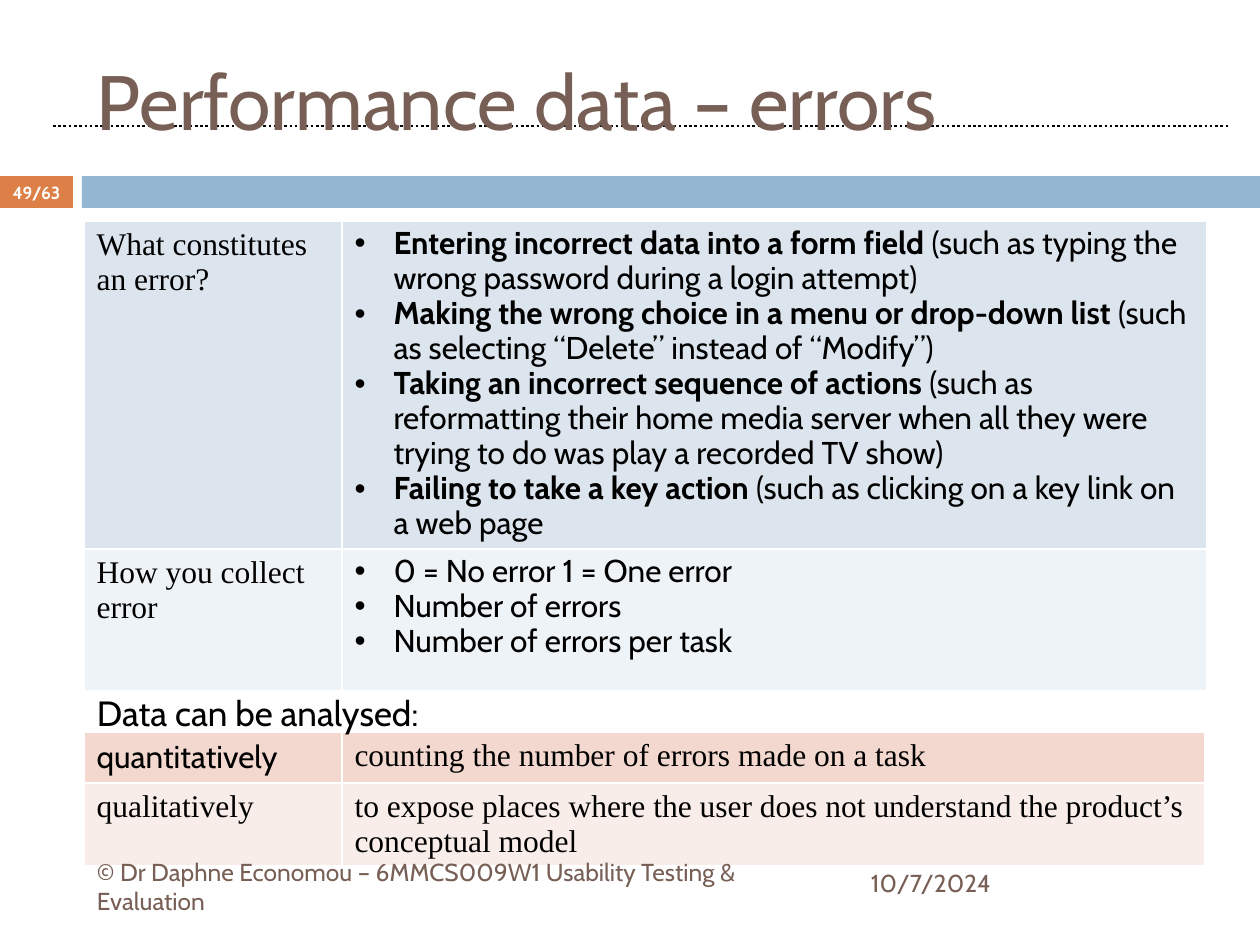
from lxml.etree import SubElement
from pptx import Presentation
from pptx.dml.color import RGBColor
from pptx.enum.dml import MSO_LINE
from pptx.enum.shapes import MSO_CONNECTOR, MSO_SHAPE
from pptx.enum.text import MSO_ANCHOR as ANCHOR, PP_ALIGN as ALIGN
from pptx.oxml.ns import qn
from pptx.util import Emu, Pt

PX = 914400 / 126
BLACK = RGBColor(0x00, 0x00, 0x00)
WHITE = RGBColor(0xFF, 0xFF, 0xFF)
BROWN = RGBColor(0x77, 0x5F, 0x55)
ORANGE = RGBColor(0xDD, 0x80, 0x47)
BLUE = RGBColor(0x94, 0xB6, 0xD2)
BLUE_TINT = RGBColor(0xDC, 0xE5, 0xEE)
BLUE_PALE = RGBColor(0xEE, 0xF3, 0xF7)
ROSE_TINT = RGBColor(0xF2, 0xD8, 0xCF)
ROSE_PALE = RGBColor(0xF9, 0xED, 0xE9)
CABIN = "Cabin"
TIMES = "Times New Roman"


def px(*lengths):
    return [Emu(round(length * PX)) for length in lengths]


def add_run(paragraph, text, size, face, color, bold=False):
    run = paragraph.add_run()
    run.text = text
    run.font.size = Pt(size)
    run.font.name = face
    run.font.bold = bold
    run.font.color.rgb = color


deck = Presentation()
deck.slide_width, deck.slide_height = px(1260, 945)
slide = deck.slides.add_slide(deck.slide_layouts[5])
shapes = slide.shapes

for left, width, color in [(0, 73, ORANGE), (82, 1178, BLUE)]:
    band = shapes.add_shape(MSO_SHAPE.RECTANGLE, *px(left, 176, width, 32))
    band.shadow.inherit = False
    band.fill.solid()
    band.fill.fore_color.rgb = color
    band.line.fill.background()

rule = shapes.add_connector(MSO_CONNECTOR.STRAIGHT, *px(53, 126, 1228, 126))
rule.line.color.rgb = BLACK
rule.line.width = Pt(1.5)
rule.line.dash_style = MSO_LINE.ROUND_DOT
SubElement(rule._element.spPr, qn("a:effectLst"))

title = shapes.title
title.left, title.top, title.width, title.height = px(84, 32, 1124, 136)
title.text_frame.vertical_anchor = ANCHOR.MIDDLE
heading = title.text_frame.paragraphs[0]
heading.alignment = ALIGN.LEFT
add_run(heading, "Performance data – errors", 44, CABIN, BROWN)
title._element.getparent().append(title._element)

error_rows = [
    (327, BLUE_TINT, [
        (TIMES, False, [("", "What constitutes an error?")]),
        (CABIN, True, [
            ("Entering incorrect data into a form field ",
             "(such as typing the wrong password during a login attempt)"),
            ("Making the wrong choice in a menu or drop-down list ",
             "(such as selecting “Delete” instead of “Modify”)"),
            ("Taking an incorrect sequence of actions ",
             "(such as reformatting their home media server when all they "
             "were trying to do was play a recorded TV show)"),
            ("Failing to take a key action ",
             "(such as clicking on a key link on a web page"),
        ]),
    ]),
    (142, BLUE_PALE, [
        (TIMES, False, [("", "How you collect error")]),
        (CABIN, True, [
            ("", "0 = No error 1 = One error"),
            ("", "Number of errors"),
            ("", "Number of errors per task"),
        ]),
    ]),
]
analysis_rows = [
    (50, ROSE_TINT, [
        (CABIN, False, [("", "quantitatively")]),
        (TIMES, False, [("", "counting the number of errors made on a task")]),
    ]),
    (82, ROSE_PALE, [
        (TIMES, False, [("", "qualitatively")]),
        (TIMES, False, [("", "to expose places where the user does not "
                             "understand the product’s conceptual model")]),
    ]),
]

for top, widths, spacing, rows in [
    (221, (258, 865), Pt(20), error_rows),
    (732, (258, 863), None, analysis_rows),
]:
    total = sum(height for height, _, _ in rows)
    table = shapes.add_table(2, 2, *px(84, top, sum(widths), total)).table
    table.first_row = False
    table.horz_banding = False
    for column, width in zip(table.columns, px(*widths)):
        column.width = width
    for row, (height, tint, contents) in zip(table.rows, rows):
        row.height = px(height)[0]
        for cell, (face, bulleted, lines) in zip(row.cells, contents):
            properties = cell._tc.get_or_add_tcPr()
            for side in ("lnL", "lnR", "lnT", "lnB"):
                border = SubElement(properties, qn(f"a:{side}"), w=str(Pt(1)))
                stroke = SubElement(border, qn("a:solidFill"))
                SubElement(stroke, qn("a:srgbClr"), val=str(WHITE))
            cell.fill.solid()
            cell.fill.fore_color.rgb = tint
            for index, (lead, detail) in enumerate(lines):
                frame = cell.text_frame
                paragraph = frame.add_paragraph() if index else frame.paragraphs[0]
                if spacing:
                    paragraph.line_spacing = spacing
                if bulleted:
                    indent = px(39)[0]
                    layout = paragraph._p.get_or_add_pPr()
                    layout.set("marL", str(indent))
                    layout.set("indent", str(-indent))
                    SubElement(layout, qn("a:buFont"), typeface="Arial")
                    SubElement(layout, qn("a:buChar"), char="•")
                if lead:
                    add_run(paragraph, lead, 18, face, BLACK, True)
                add_run(paragraph, detail, 18, face, BLACK)

for box, text, size, color, bold, align, anchor, inset in [
    ((84, 685, 357, 55), "Data can be analysed:", 20, BLACK, False,
     ALIGN.LEFT, ANCHOR.TOP, 13),
    ((84, 861, 747, 50),
     "© Dr Daphne Economou – 6MMCS009W1 Usability Testing & Evaluation",
     14, BROWN, False, ALIGN.LEFT, ANCHOR.MIDDLE, 13),
    ((858, 858, 368, 50), "10/7/2024", 14, BROWN, False,
     ALIGN.LEFT, ANCHOR.MIDDLE, 13),
    ((0, 175, 73, 34), "49/63", 10, WHITE, True,
     ALIGN.CENTER, ANCHOR.MIDDLE, 0),
]:
    frame = shapes.add_textbox(*px(*box)).text_frame
    frame.word_wrap = True
    frame.vertical_anchor = anchor
    frame.margin_left, frame.margin_right = px(inset, inset)
    frame.paragraphs[0].alignment = align
    add_run(frame.paragraphs[0], text, size, CABIN, color, bold)

deck.save("out.pptx")
